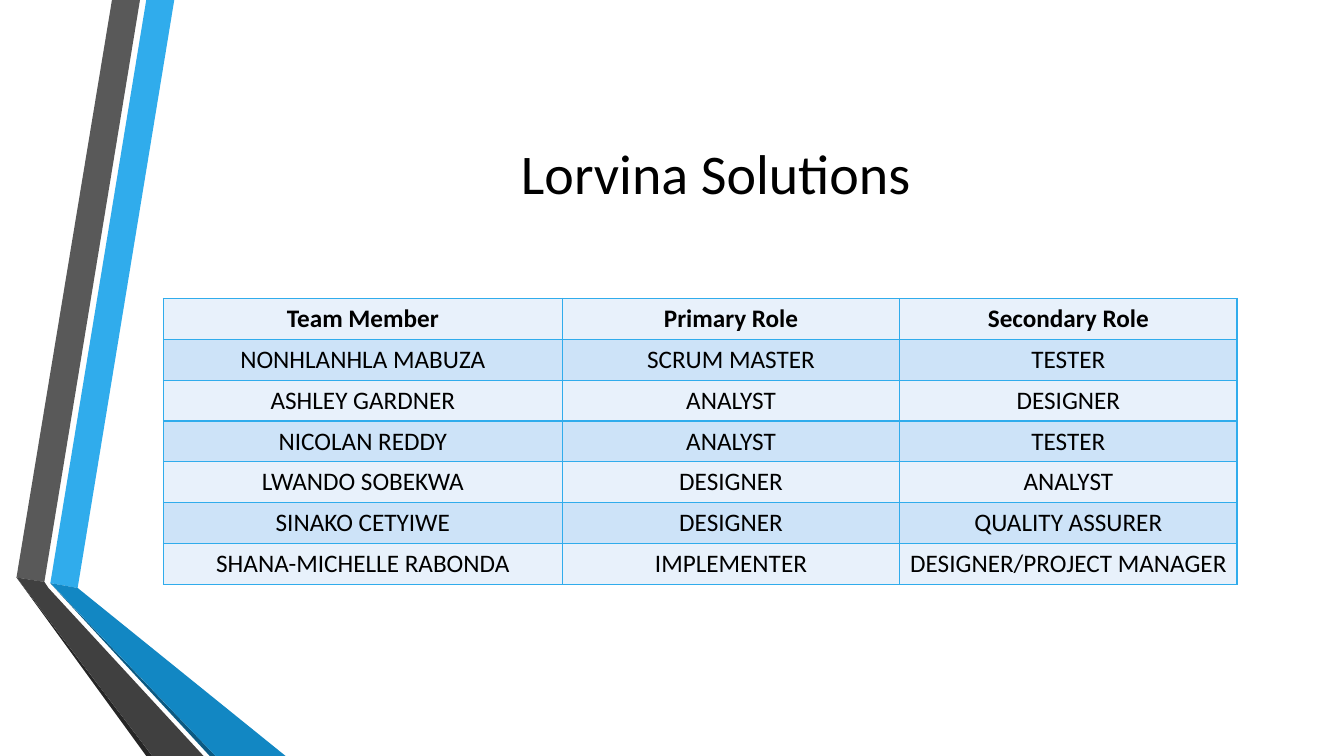
from dataclasses import dataclass

from lxml import etree
from pptx import Presentation
from pptx.dml.color import RGBColor
from pptx.enum.text import MSO_ANCHOR, PP_ALIGN
from pptx.oxml.ns import qn
from pptx.slide import Slide
from pptx.table import _Cell
from pptx.text.text import _Paragraph
from pptx.util import Pt

CENTER = PP_ALIGN.CENTER
MIDDLE = MSO_ANCHOR.MIDDLE
FONT = "Calibri"
BLACK = "000000"
BORDER = "30ACEC"
ROW_FILLS = ("E8F1FB", "CDE3F8")

TABLE_LEFT, TABLE_TOP = 116.7, 213.1
COLUMN_WIDTHS = (285, 241, 241)
ROW_HEIGHT = 29.2

TEAM = (
    ("Team Member", "Primary Role", "Secondary Role"),
    ("NONHLANHLA MABUZA", "SCRUM MASTER", "TESTER"),
    ("ASHLEY GARDNER", "ANALYST", "DESIGNER"),
    ("NICOLAN REDDY", "ANALYST", "TESTER"),
    ("LWANDO SOBEKWA", "DESIGNER", "ANALYST"),
    ("SINAKO CETYIWE", "DESIGNER", "QUALITY ASSURER"),
    ("SHANA-MICHELLE RABONDA", "IMPLEMENTER", "DESIGNER/PROJECT MANAGER"),
)


@dataclass(frozen=True)
class Ribbon:
    color: str
    corners: tuple[tuple[float, float], ...]


RIBBONS = (
    Ribbon("30ACEC", ((36, 416.5), (55.5, 420), (124.5, 0), (104.5, 0))),
    Ribbon("595959", ((100, 0), (80, 0), (11.8, 412.5), (31.7, 415.7))),
    Ribbon("262626", ((11.8, 412.5), (104.5, 540), (108.8, 540))),
    Ribbon("0C5A82", ((36, 416.7), (149.8, 540), (154, 540))),
    Ribbon("1287C3", ((36, 416.5), (154, 540), (204, 540), (55.5, 420))),
    Ribbon("404040", ((11.8, 412.5), (108.8, 540), (145.4, 540),
                      (34.6, 420), (31.7, 415.7))),
)


def rgb(color: str) -> RGBColor:
    return RGBColor.from_string(color)


def format_text(paragraph: _Paragraph, size: float, bold: bool = False) -> None:
    paragraph.alignment = CENTER
    font = paragraph.font
    font.name, font.size, font.bold = FONT, Pt(size), bold
    font.color.rgb = rgb(BLACK)


def draw_ribbon(slide: Slide, ribbon: Ribbon) -> None:
    start, *others = [(Pt(x), Pt(y)) for x, y in ribbon.corners]
    outline = slide.shapes.build_freeform(*start)
    outline.add_line_segments(others, close=True)
    band = outline.convert_to_shape()
    band.shadow.inherit = False
    band.fill.solid()
    band.fill.fore_color.rgb = rgb(ribbon.color)
    band.line.fill.background()


def draw_borders(cell: _Cell) -> None:
    properties = cell._tc.get_or_add_tcPr()
    for position, side in enumerate(("a:lnL", "a:lnR", "a:lnT", "a:lnB")):
        edge = etree.Element(qn(side), w=str(Pt(1)))
        solid = etree.SubElement(edge, qn("a:solidFill"))
        etree.SubElement(solid, qn("a:srgbClr"), val=BORDER)
        properties.insert(position, edge)


def draw_title(slide: Slide) -> None:
    title = slide.shapes.title
    title.left, title.top = Pt(116.7), Pt(54)
    title.width, title.height = Pt(789), Pt(138)
    title.text_frame.text = "Lorvina Solutions"
    title.text_frame.vertical_anchor = MIDDLE
    format_text(title.text_frame.paragraphs[0], 40)


def draw_team_table(slide: Slide) -> None:
    team_table = slide.shapes.add_table(
        len(TEAM), len(COLUMN_WIDTHS), Pt(TABLE_LEFT), Pt(TABLE_TOP),
        Pt(sum(COLUMN_WIDTHS)), Pt(ROW_HEIGHT * len(TEAM))).table
    team_table.horz_banding = False
    team_table.first_row = False
    for column, width in zip(team_table.columns, COLUMN_WIDTHS):
        column.width = Pt(width)
    for row_index, entries in enumerate(TEAM):
        team_table.rows[row_index].height = Pt(ROW_HEIGHT)
        for column_index, entry in enumerate(entries):
            cell = team_table.cell(row_index, column_index)
            cell.text = entry
            cell.margin_left = cell.margin_right = Pt(6.5)
            cell.margin_top = cell.margin_bottom = Pt(3.6)
            format_text(cell.text_frame.paragraphs[0], 18, bold=row_index == 0)
            cell.fill.solid()
            cell.fill.fore_color.rgb = rgb(ROW_FILLS[row_index % 2])
            draw_borders(cell)


def main() -> None:
    presentation = Presentation()
    presentation.slide_width, presentation.slide_height = Pt(960), Pt(540)
    slide = presentation.slides.add_slide(presentation.slide_layouts[5])
    for ribbon in RIBBONS:
        draw_ribbon(slide, ribbon)
    draw_title(slide)
    draw_team_table(slide)
    presentation.save("out.pptx")


if __name__ == "__main__":
    main()
